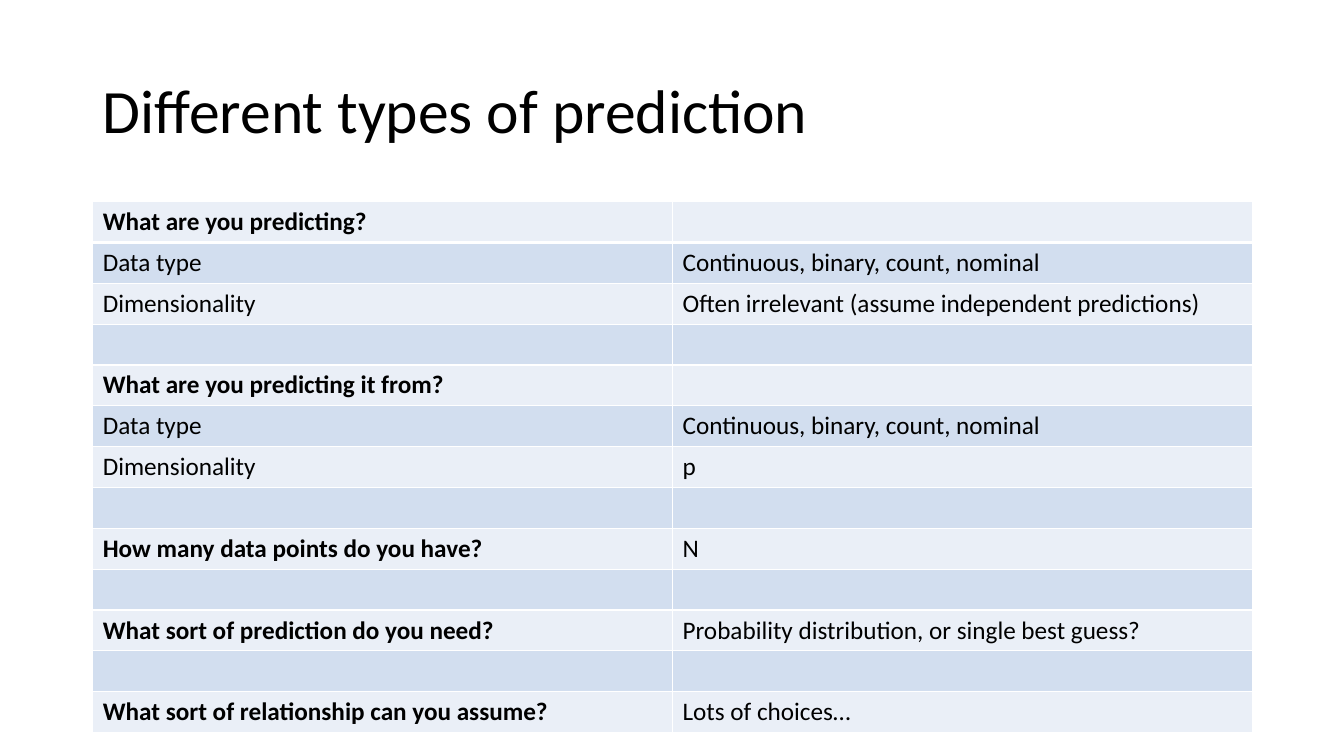
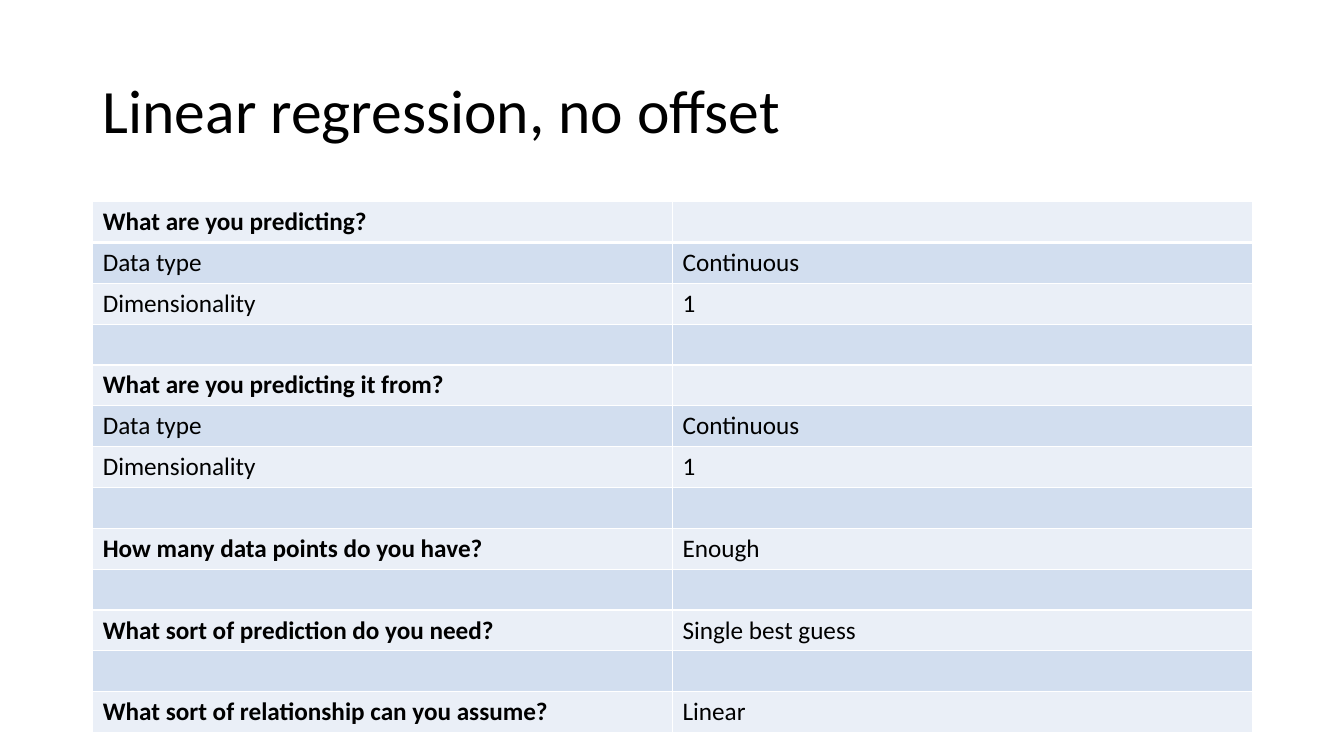
from lxml import etree
from pptx import Presentation
from pptx.dml.color import RGBColor
from pptx.enum.text import MSO_ANCHOR
from pptx.oxml.ns import qn
from pptx.util import Inches, Pt

BLACK = RGBColor(0x00, 0x00, 0x00)
WHITE = RGBColor(0xFF, 0xFF, 0xFF)
LIGHT_BAND = RGBColor(0xEA, 0xEF, 0xF7)
DARK_BAND = RGBColor(0xD2, 0xDE, 0xEF)

LEFT, WIDTH = Inches(0.92), Inches(11.5)
TITLE_TOP, TITLE_HEIGHT = Inches(0.4), Inches(1.45)
TABLE_TOP, TABLE_HEIGHT = Inches(2), Inches(5.27)
TITLE_FONT = {"name": "Calibri", "size": Pt(44)}
CELL_FONT = {"name": "Calibri", "size": Pt(18)}

LABELS = [
    "What are you predicting?",
    "Data type",
    "Dimensionality",
    "",
    "What are you predicting it from?",
    "Data type",
    "Dimensionality",
    "",
    "How many data points do you have?",
    "",
    "What sort of prediction do you need?",
    "",
    "What sort of relationship can you assume?",
]

SLIDES = {
    "Different types of prediction": {
        1: "Continuous, binary, count, nominal",
        2: "Often irrelevant (assume independent predictions)",
        5: "Continuous, binary, count, nominal",
        6: "p",
        8: "N",
        10: "Probability distribution, or single best guess?",
        12: "Lots of choices…",
    },
    "Linear regression, no offset": {
        1: "Continuous",
        2: "1",
        5: "Continuous",
        6: "1",
        8: "Enough",
        10: "Single best guess",
        12: "Linear",
    },
}


def write(paragraph, text, font_values):
    paragraph.text = text
    paragraph.font.color.rgb = BLACK
    for name, value in font_values.items():
        setattr(paragraph.font, name, value)
        for run in paragraph.runs:
            setattr(run.font, name, value)


def add_border(cell, side, points):
    properties = cell._tc.get_or_add_tcPr()
    line = etree.SubElement(properties, qn(f"a:ln{side}"), w=str(Pt(points)))
    fill = etree.SubElement(line, qn("a:solidFill"))
    etree.SubElement(fill, qn("a:srgbClr"), val=str(WHITE))


presentation = Presentation()
presentation.slide_width = Inches(13.33)
presentation.slide_height = Inches(7.5)
blank_layout = presentation.slide_layouts[6]

for title, answers in SLIDES.items():
    slide = presentation.slides.add_slide(blank_layout)

    title_box = slide.shapes.add_textbox(LEFT, TITLE_TOP, WIDTH, TITLE_HEIGHT)
    title_frame = title_box.text_frame
    title_frame.word_wrap = True
    title_frame.vertical_anchor = MSO_ANCHOR.MIDDLE
    title_frame.paragraphs[0].line_spacing = 0.9
    write(title_frame.paragraphs[0], title, TITLE_FONT)

    table = slide.shapes.add_table(
        len(LABELS), 2, LEFT, TABLE_TOP, WIDTH, TABLE_HEIGHT
    ).table
    table.first_row = False
    table.horz_banding = False

    for row, label in enumerate(LABELS):
        for column, text in enumerate((label, answers.get(row, ""))):
            cell = table.cell(row, column)
            bold = column == 0 and label.endswith("?")
            write(cell.text_frame.paragraphs[0], text, {**CELL_FONT, "bold": bold})
            borders = {"L": 1, "R": 1, "T": 3 if row == 1 else 1, "B": 3 if row == 0 else 1}
            for side, points in borders.items():
                add_border(cell, side, points)
            cell.fill.solid()
            cell.fill.fore_color.rgb = DARK_BAND if row % 2 else LIGHT_BAND

presentation.save("out.pptx")
